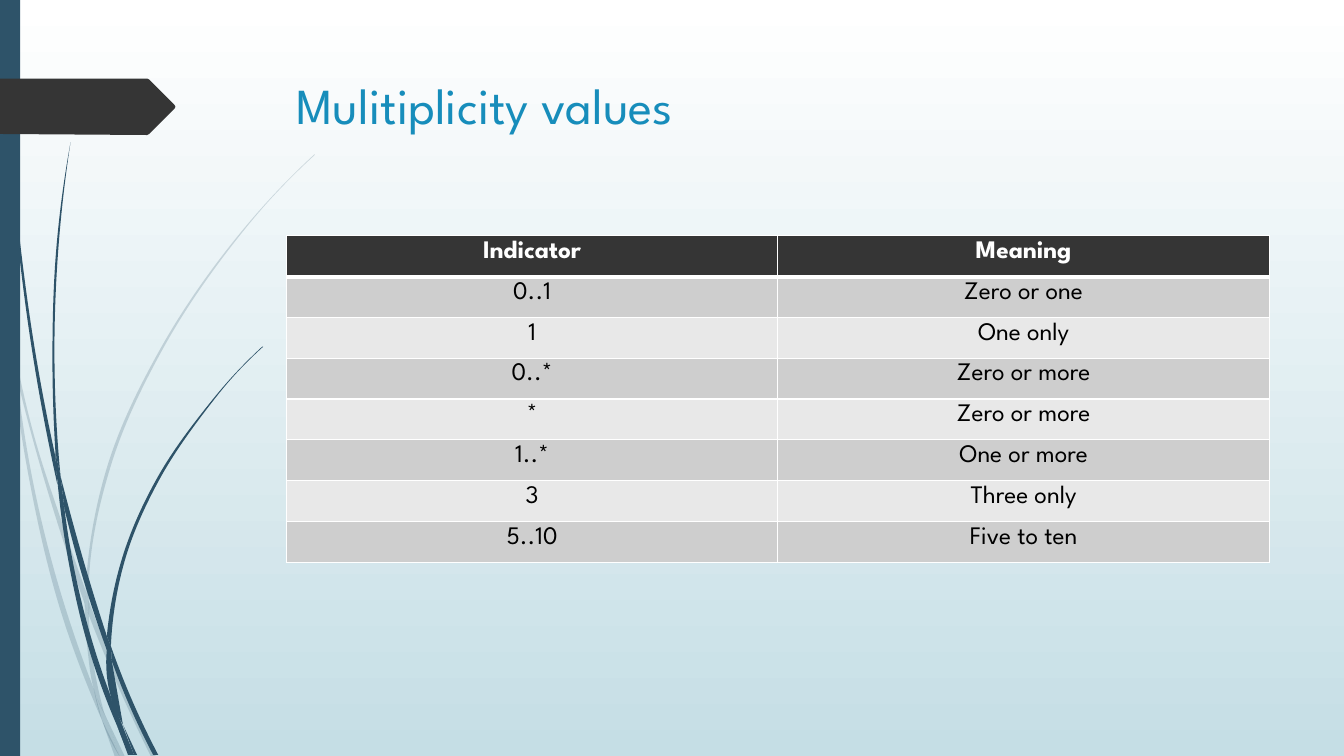
from dataclasses import dataclass
from math import dist

from lxml import etree
from pptx import Presentation
from pptx.dml.color import RGBColor
from pptx.enum.shapes import MSO_SHAPE
from pptx.enum.text import MSO_ANCHOR, PP_ALIGN
from pptx.oxml.ns import qn
from pptx.util import Inches, Pt

RECTANGLE = MSO_SHAPE.RECTANGLE
TOP = MSO_ANCHOR.TOP
LEFT, CENTER = PP_ALIGN.LEFT, PP_ALIGN.CENTER

TITLE = "Mulitiplicity values"
ROWS = [
    ("Indicator", "Meaning"),
    ("0..1", "Zero or one"),
    ("1", "One only"),
    ("0..*", "Zero or more"),
    ("*", "Zero or more"),
    ("1..*", "One or more"),
    ("3", "Three only"),
    ("5..10", "Five to ten"),
]

# Each blade of grass is two smooth edges, listed as points in inches.
PALE_BLADES = [
    ([(0.11, 3.5), (0.09, 3.22), (0, 2.82)], [(0, 2.99), (0.1, 3.44)]),
    ([(0.14, 3.45), (0.34, 4.33), (0.62, 5.2), (0.85, 5.86)],
     [(0.84, 5.99), (0.58, 5.22), (0.17, 3.76)]),
    ([(0.88, 5.96), (1.27, 6.92), (1.55, 7.51)],
     [(1.5, 7.51), (1.23, 6.94), (0.88, 6.1)]),
    ([(1.05, 7.11), (1.24, 7.51)], [(1.19, 7.51)]),
    ([(0.11, 3.5), (0.28, 4.7), (0.65, 6.21), (0.92, 6.93), (1.01, 7.14)],
     [(0.93, 6.83), (0.7, 6.19), (0.31, 4.69), (0.17, 3.76)]),
    ([(0.84, 5.99), (0.87, 6.46), (0.93, 6.83), (1.05, 7.11)],
     [(1.03, 7.06), (0.91, 6.46), (0.88, 6.1)]),
    ([(0.88, 5.96), (0.88, 5.84), (1.1, 4.62), (1.6, 3.49), (2.29, 2.45),
      (2.68, 1.98), (3.12, 1.54)],
     [(3.12, 1.53), (2.68, 1.97), (2.28, 2.44), (1.58, 3.48), (1.07, 4.61),
      (0.85, 5.84)]),
    ([(1.01, 7.14), (1.14, 7.51)], [(1.19, 7.51)]),
    ([(0.88, 6.1), (0.88, 5.96), (0.85, 5.86)], [(0.84, 5.99)]),
    ([(0.93, 6.83), (1.01, 7.14), (1.19, 7.51)], [(1.05, 7.11), (0.96, 6.92)]),
]
DARK_BLADES = [
    ([(0.03, 0), (0.07, 1.1), (0.17, 2.33), (0.33, 3.55), (0.57, 4.81)],
     [(0.55, 4.53), (0.36, 3.55), (0.19, 2.32), (0.08, 1.09), (0.04, 0)]),
    ([(0.6, 4.72), (0.93, 5.9), (1.06, 6.31)],
     [(1.06, 6.45), (0.88, 5.92), (0.64, 5.05)]),
    ([(1.1, 6.41), (1.36, 7.06), (1.57, 7.49)],
     [(1.52, 7.49), (1.32, 7.08), (1.11, 6.56)]),
    ([(0.57, 4.77), (0.68, 5.57), (0.93, 6.59), (1.17, 7.22)],
     [(1.1, 6.91), (0.98, 6.57), (0.72, 5.56), (0.64, 5.05)]),
    ([(0.6, 4.72), (0.54, 3.49), (0.58, 2.45), (0.7, 1.41)],
     [(0.7, 1.41), (0.56, 2.45), (0.52, 3.49), (0.55, 4.49)]),
    ([(1.22, 7.19), (1.36, 7.49)], [(1.33, 7.49)]),
    ([(0.55, 4.49), (0.57, 4.77), (0.64, 5.05)], [(0.6, 4.72)]),
    ([(1.1, 6.41), (1.25, 5.52), (1.58, 4.76), (2.05, 4.06), (2.31, 3.74),
      (2.61, 3.44)],
     [(2.6, 3.44), (2.31, 3.73), (2.04, 4.05), (1.56, 4.74), (1.22, 5.51),
      (1.06, 6.31)]),
    ([(1.17, 7.22), (1.27, 7.49)], [(1.31, 7.49)]),
    ([(1.06, 6.45), (1.1, 6.91), (1.22, 7.19)], [(1.11, 6.56)]),
    ([(1.06, 6.31), (1.06, 6.45), (1.11, 6.56)], [(1.1, 6.41)]),
    ([(1.1, 6.91), (1.17, 7.22), (1.3, 7.49)], [(1.33, 7.49), (1.16, 7.06)]),
]
TAG = [(0, 0.78), (1.46, 0.78), (1.48, 0.79), (1.73, 1.04), (1.74, 1.06),
       (1.73, 1.08), (1.48, 1.33), (1.46, 1.34), (0, 1.33)]


@dataclass(frozen=True)
class Theme:
    font: str = "League Spartan"
    title_size: int = 36
    table_size: int = 18
    title: str = "178DBB"
    grass: str = "2E5369"
    dark: str = "353535"
    bands: tuple = ("E8E8E8", "CECECE")
    white: str = "FFFFFF"
    black: str = "000000"
    sky: tuple = ("FFFFFF", "C5DEE5")


THEME = Theme()
WIDTH, HEIGHT = 13.33, 7.5
BODY_LEFT, BODY_WIDTH = 2.84, 9.75
TABLE_TOP, TABLE_HEIGHT = 2.34, 3.24


def rgb(color):
    return RGBColor.from_string(color)


def along(point, direction, length):
    return tuple(p + d * length for p, d in zip(point, direction))


def bezier_controls(knots):
    """Return the two control points of each span of a smooth curve."""
    lengths = [dist(a, b) for a, b in zip(knots, knots[1:])]
    chords = [tuple((q - p) / length for p, q in zip(a, b))
              for a, b, length in zip(knots, knots[1:], lengths)]
    inner = [tuple((u * n + v * m) / (m + n) for u, v in zip(before, after))
             for before, after, m, n in zip(chords, chords[1:], lengths, lengths[1:])]
    first, last = chords[0], chords[-1]
    if inner:
        first = tuple(2 * c - t for c, t in zip(first, inner[0]))
        last = tuple(2 * c - t for c, t in zip(last, inner[-1]))
    tangents = [first, *inner, last]
    return [(along(a, s, length / 3), along(b, t, -length / 3))
            for a, b, s, t, length in zip(knots, knots[1:], tangents, tangents[1:], lengths)]


def paint(shape, color, alpha=None):
    shape.shadow.inherit = False
    shape.fill.solid()
    shape.fill.fore_color.rgb = rgb(color)
    shape.line.fill.background()
    if alpha is not None:
        fill_color = shape._element.spPr.find(".//" + qn("a:srgbClr"))
        etree.SubElement(fill_color, qn("a:alpha"), val=str(alpha * 1000))


def add_outline(shapes, points, color, alpha=None):
    corners = [(Inches(x), Inches(y)) for x, y in points]
    builder = shapes.build_freeform(*corners[0])
    builder.add_line_segments(corners[1:], close=True)
    shape = builder.convert_to_shape()
    paint(shape, color, alpha)
    return shape


def add_blade(shapes, outward, back, alpha):
    """Draw the outline, then bend the lines along both edges into curves."""
    points = outward + back
    shape = add_outline(shapes, points, THEME.grass, alpha)
    left, top = (min(values) for values in zip(*points))
    lines = list(shape._element.spPr.iter(qn("a:lnTo")))
    edges = [(lines[:len(outward) - 1], outward)]
    if len(back) > 1:
        edges.append((lines[len(outward):], back))
    for spans, knots in edges:
        for line, controls in zip(spans, bezier_controls(knots)):
            line.tag = qn("a:cubicBezTo")
            for index, (x, y) in enumerate(controls):
                point = etree.Element(qn("a:pt"), x=str(Inches(x - left)), y=str(Inches(y - top)))
                line.insert(index, point)


def add_grass(page, blades, alpha=None):
    group = page.shapes.add_group_shape()
    for outward, back in blades:
        add_blade(group.shapes, outward, back, alpha)


def write(frame, text, size, color, align, bold=False):
    frame.text = text
    para = frame.paragraphs[0]
    para.alignment = align
    font = para.runs[0].font
    font.name, font.size, font.bold = THEME.font, Pt(size), bold
    font.color.rgb = rgb(color)


def add_borders(cell, widths):
    """Draw white borders; widths are points for left, right, top, bottom."""
    properties = cell._tc.get_or_add_tcPr()
    for index, (side, width) in enumerate(zip("LRTB", widths)):
        line = etree.Element(qn(f"a:ln{side}"), w=str(Pt(width)))
        fill = etree.SubElement(line, qn("a:solidFill"))
        etree.SubElement(fill, qn("a:srgbClr"), val=THEME.white)
        properties.insert(index, line)


def add_values_table(page):
    table = page.shapes.add_table(
        len(ROWS), len(ROWS[0]), Inches(BODY_LEFT), Inches(TABLE_TOP),
        Inches(BODY_WIDTH), Inches(TABLE_HEIGHT)).table
    for row, texts in enumerate(ROWS):
        header = row == 0
        for column, text in enumerate(texts):
            cell = table.cell(row, column)
            cell.margin_left = cell.margin_right = Inches(0.08)
            cell.margin_top = cell.margin_bottom = Inches(0.05)
            cell.fill.solid()
            cell.fill.fore_color.rgb = rgb(THEME.dark if header else THEME.bands[row % 2])
            write(cell.text_frame, text, THEME.table_size,
                  THEME.white if header else THEME.black, CENTER, header)
            add_borders(cell, (1, 1, 3 if row == 1 else 1, 3 if header else 1))


def main():
    deck = Presentation()
    deck.slide_width, deck.slide_height = Inches(WIDTH), Inches(HEIGHT)
    page = deck.slides.add_slide(deck.slide_layouts[6])
    sky = page.background.fill
    sky.gradient()
    sky.gradient_angle = 270
    for stop, color in zip(sky.gradient_stops, THEME.sky):
        stop.color.rgb = rgb(color)

    add_grass(page, PALE_BLADES, alpha=20)
    add_grass(page, DARK_BLADES)
    paint(page.shapes.add_shape(RECTANGLE, 0, 0, Inches(0.2), Inches(HEIGHT)), THEME.grass)
    add_outline(page.shapes, TAG, THEME.dark)

    box = page.shapes.add_textbox(Inches(BODY_LEFT), Inches(0.69), Inches(BODY_WIDTH), Inches(1.4))
    box.text_frame.word_wrap = True
    box.text_frame.vertical_anchor = TOP
    write(box.text_frame, TITLE, THEME.title_size, THEME.title, LEFT)
    add_values_table(page)
    deck.save("out.pptx")


if __name__ == "__main__":
    main()
